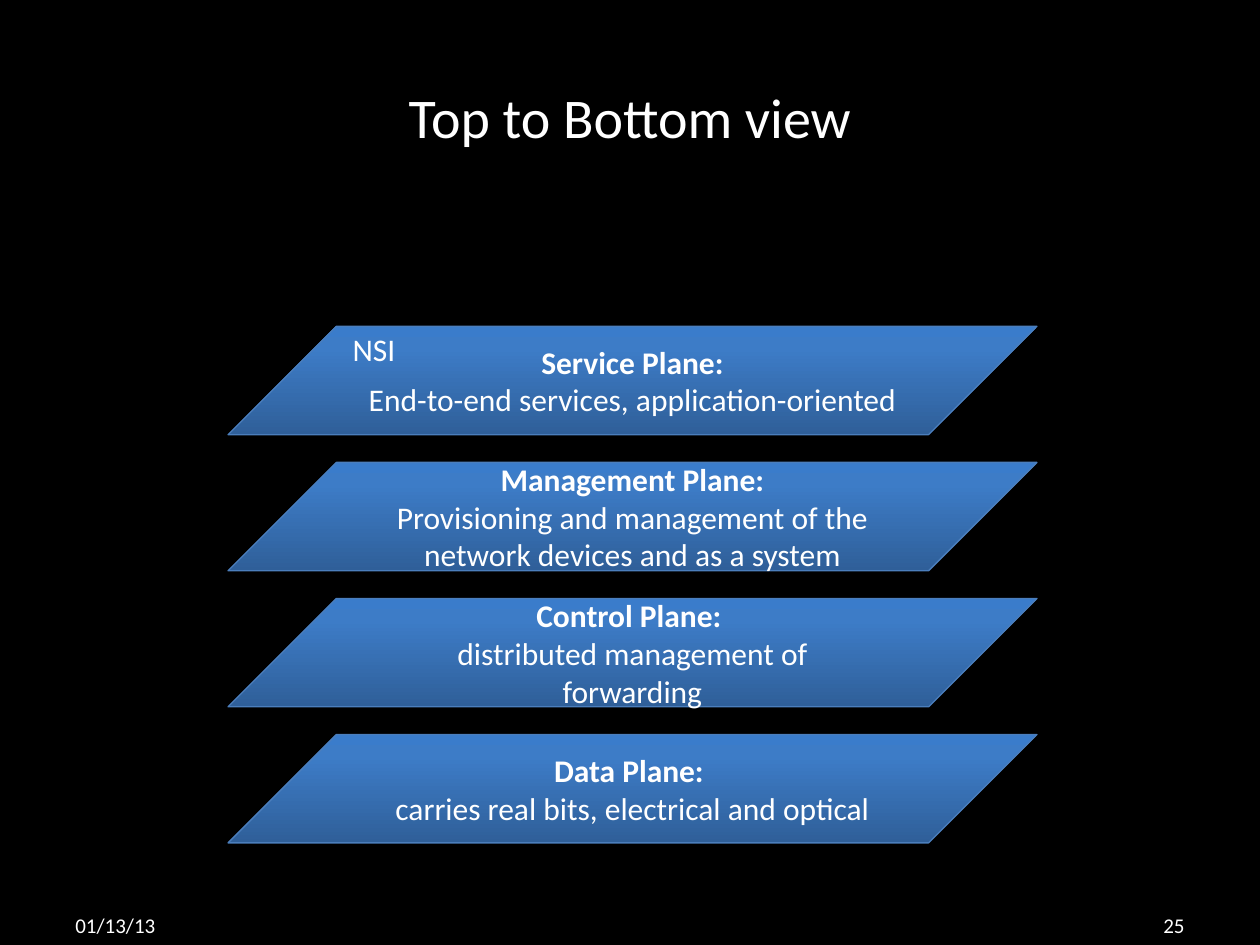
"""Build a slide that stacks four network planes from service down to data."""
from copy import deepcopy

from pptx import Presentation
from pptx.dml.color import RGBColor
from pptx.enum.shapes import MSO_SHAPE
from pptx.enum.text import MSO_ANCHOR, PP_ALIGN
from pptx.oxml.ns import qn
from pptx.util import Inches, Pt

SLANT = MSO_SHAPE.PARALLELOGRAM
MID, TOP = MSO_ANCHOR.MIDDLE, MSO_ANCHOR.TOP
LEFT, CENTER, RIGHT = PP_ALIGN.LEFT, PP_ALIGN.CENTER, PP_ALIGN.RIGHT


def tint(code):
    return RGBColor.from_string(code)


def write(frame, *lines, size=18, align=LEFT, anchor=MID, wrap=True, head=False):
    frame.word_wrap = wrap
    frame.vertical_anchor = anchor
    for row, line in enumerate(lines):
        para = frame.add_paragraph() if row else frame.paragraphs[0]
        para.text = line
        para.alignment = align
        for run in para.runs:
            run.font.name = "Calibri"
            run.font.size = Pt(size)
            run.font.bold = head and row == 0
            run.font.color.rgb = tint("FFFFFF")


deck = Presentation()
deck.slide_width, deck.slide_height = Inches(10), Inches(7.5)
slide = deck.slides.add_slide(deck.slide_layouts[6])
slide.background.fill.solid()
slide.background.fill.fore_color.rgb = tint("000000")
shapes = slide.shapes

title = shapes.add_textbox(Inches(0.5), Inches(0.3), Inches(9), Inches(1.25))
write(title.text_frame, "Top to Bottom view", size=32, align=CENTER)

for left, text, align in ((0.5, "01/13/13", LEFT), (7.17, "25", RIGHT)):
    foot = shapes.add_textbox(Inches(left), Inches(7.14), Inches(2.33), Inches(0.4))
    write(foot.text_frame, text, size=12, align=align)

planes = [
    ("Service Plane:", "End-to-end services, application-oriented"),
    ("Management Plane:", "Provisioning and management of the network devices and as a system"),
    ("Control Plane: ", "distributed management of\nforwarding"),
    ("Data Plane: ", "carries real bits, electrical and optical"),
]
first, pitch = 2.59, 1.08
stops = ((0, "2F5F99"), (0.8, "3D7CC7"), (1, "3A7CCB"))

for row, (name, role) in reversed(list(enumerate(planes))):
    plane = shapes.add_shape(
        SLANT, Inches(1.81), Inches(first + row * pitch), Inches(6.42), Inches(0.86))
    plane.adjustments[0] = 1
    plane.shadow.inherit = False
    plane.fill.gradient()
    plane.fill.gradient_angle = 90
    ramp = plane.element.spPr.find(".//" + qn("a:gsLst"))
    ramp.append(deepcopy(ramp[-1]))
    for stop, (place, code) in zip(plane.fill.gradient_stops, stops):
        stop.position = place
        stop.color.rgb = tint(code)
    plane.line.color.rgb = tint("4B7EBC")
    plane.line.width = Pt(0.75)
    write(plane.text_frame, name, role, align=CENTER, head=True)

tag = shapes.add_textbox(Inches(2.7), Inches(2.57), Inches(0.54), Inches(0.4))
write(tag.text_frame, "NSI", anchor=TOP, wrap=False)

deck.save("out.pptx")
